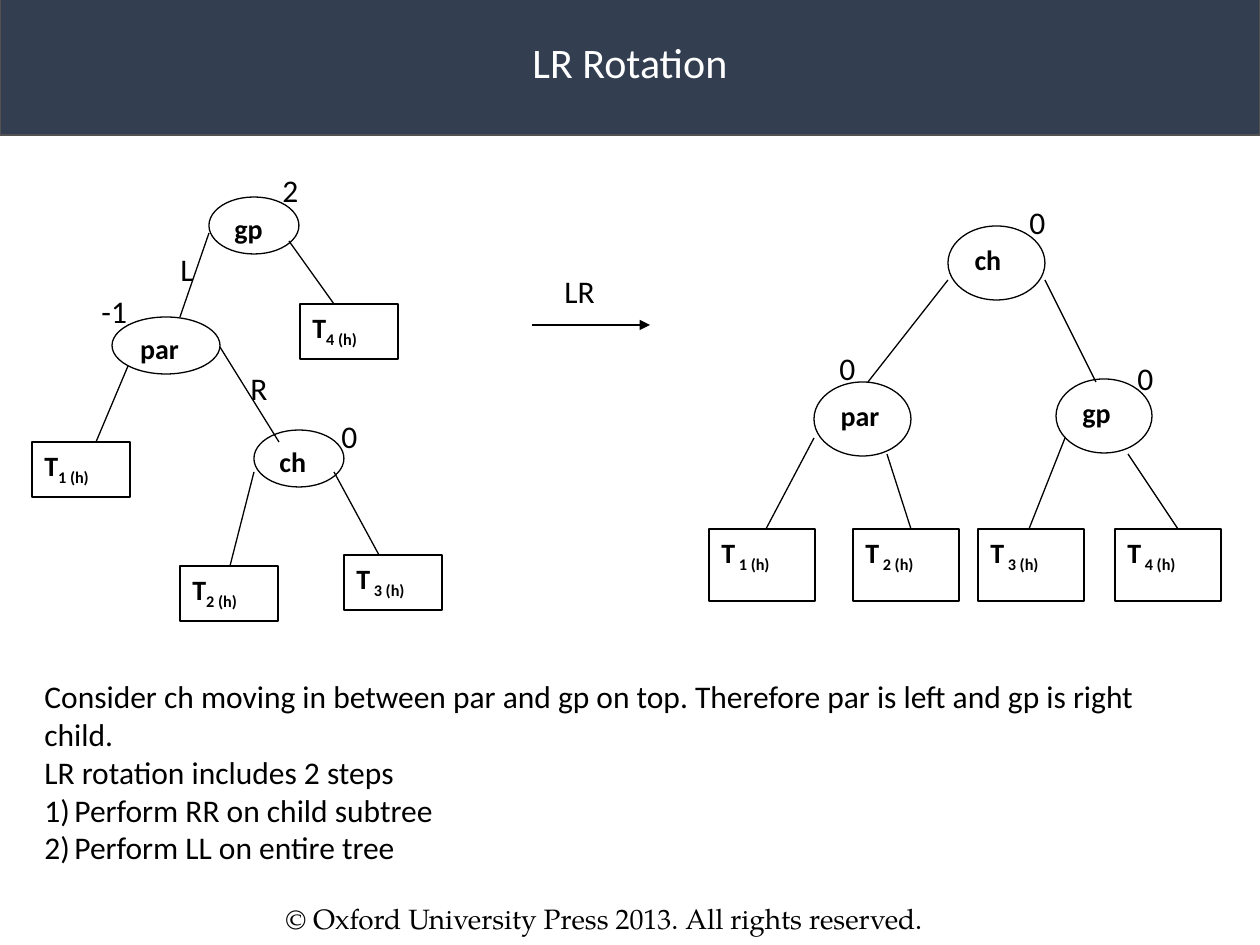
from dataclasses import dataclass

from lxml.etree import SubElement
from pptx import Presentation
from pptx.dml.color import RGBColor
from pptx.enum.shapes import MSO_CONNECTOR, MSO_SHAPE
from pptx.enum.text import MSO_ANCHOR, MSO_AUTO_SIZE, PP_ALIGN
from pptx.oxml.ns import qn
from pptx.util import Inches, Pt

SCALE = Inches(1) / 126


@dataclass(frozen=True)
class Theme:
    ink: str = "000000"
    paper: str = "FFFFFF"
    band: str = "333F50"
    rim: str = "525252"
    sans: str = "Calibri"
    serif: str = "TeX Gyre Pagella"
    title: int = 24
    body: int = 18
    node: int = 16


THEME = Theme()
LABEL = {"name": THEME.sans, "size": Pt(THEME.body)}
NODE = {"name": THEME.sans, "size": Pt(THEME.node), "bold": True}
TITLE = {"name": THEME.sans, "size": Pt(THEME.title)}
FOOTER = {"name": THEME.serif, "size": Pt(THEME.node)}

# Ovals and subtree boxes: text and top left corner; edges: both ends.
BEFORE = {
    "ovals": [("gp", 209, 197, 90, 57), ("par", 112, 317, 108, 57),
              ("ch", 254, 430, 90, 57)],
    "box": (98, 55),
    "trees": [("4 (h)", 300, 304), ("1 (h)", 32, 442),
              ("2 (h)", 180, 566), (" 3 (h)", 344, 555)],
    "edges": [(289, 241, 334, 304), (334, 472, 379, 555),
              (220, 347, 279, 442), (254, 472, 230, 566),
              (128, 366, 96, 442), (209, 233, 180, 317)],
}
AFTER = {
    "ovals": [("par", 814, 382, 97, 74), ("ch", 948, 226, 97, 74),
              ("gp", 1056, 379, 96, 74)],
    "box": (106, 72),
    "trees": [(" 1 (h)", 709, 529), (" 2 (h)", 853, 529),
              (" 3 (h)", 978, 529), (" 4 (h)", 1115, 529)],
    "edges": [(948, 280, 868, 382), (1045, 280, 1096, 382),
              (814, 438, 766, 529), (1065, 438, 1029, 529),
              (887, 454, 911, 529), (1128, 454, 1178, 529)],
}
MARKS = [("2", 270, 165), ("L", 168, 244), ("-1", 89, 286),
         ("0", 1125, 353), ("0", 827, 343), ("0", 1017, 197),
         ("0", 329, 411), ("R", 238, 363)]
NOTES = [
    "Consider ch moving in between par and gp on top. "
    "Therefore par is left and gp is right child.",
    "LR rotation includes 2 steps",
]
STEPS = ["Perform RR on child subtree", "Perform LL on entire tree"]


def px(*vals):
    return [round(val * SCALE) for val in vals]


def style(font, form, color=THEME.ink):
    for key, val in form.items():
        setattr(font, key, val)
    font.color.rgb = RGBColor.from_string(color)


def add_run(para, text, form, color=THEME.ink):
    run = para.add_run()
    run.text = text
    style(run.font, form, color)
    return run


def add_form(shapes, kind, at, fill=THEME.paper, line=THEME.ink, width=0.75):
    form = shapes.add_shape(kind, *px(*at))
    form.shadow.inherit = False
    form.fill.solid()
    form.fill.fore_color.rgb = RGBColor.from_string(fill)
    form.line.color.rgb = RGBColor.from_string(line)
    form.line.width = Pt(width)
    frame = form.text_frame
    frame.word_wrap = True
    frame.vertical_anchor = MSO_ANCHOR.TOP
    frame.paragraphs[0].alignment = PP_ALIGN.LEFT
    return form


def add_line(shapes, ends, arrow=False):
    line = shapes.add_connector(MSO_CONNECTOR.STRAIGHT, *px(*ends))
    line.line.color.rgb = RGBColor.from_string(THEME.ink)
    line.line.width = Pt(0.75)
    props = line._element.spPr
    if arrow:
        SubElement(props.find(qn("a:ln")), qn("a:tailEnd"), type="triangle")
    SubElement(props, qn("a:effectLst"))


def add_text(shapes, at, lines, form, wrap=True):
    frame = shapes.add_textbox(*px(*at)).text_frame
    frame.word_wrap = wrap
    frame.auto_size = MSO_AUTO_SIZE.SHAPE_TO_FIT_TEXT
    for num, text in enumerate(lines):
        para = frame.add_paragraph() if num else frame.paragraphs[0]
        add_run(para, text, form)
    return frame


def number(para):
    """Turn a paragraph into an item of a 1) 2) list."""
    props = para._p.get_or_add_pPr()
    hang, = px(30)
    props.set("marL", str(hang))
    props.set("indent", str(-hang))
    SubElement(props, qn("a:buAutoNum"), type="arabicParenR")


def add_tree(slide, tree):
    shapes = slide.shapes.add_group_shape().shapes
    for text, *at in tree["ovals"]:
        oval = add_form(shapes, MSO_SHAPE.OVAL, at)
        add_run(oval.text_frame.paragraphs[0], text, NODE)
    for text, left, top in tree["trees"]:
        box = add_form(shapes, MSO_SHAPE.RECTANGLE, (left, top, *tree["box"]))
        para = box.text_frame.paragraphs[0]
        add_run(para, "T", NODE)
        sub = add_run(para, text, NODE)
        sub._r.get_or_add_rPr().set("baseline", "-25000")
    for ends in tree["edges"]:
        add_line(shapes, ends)


def add_header(shapes):
    band = add_form(shapes, MSO_SHAPE.ROUNDED_RECTANGLE, (0, -12, 1260, 147),
                    THEME.band, THEME.rim, 1)
    band.adjustments[0] = 0
    band.text_frame.vertical_anchor = MSO_ANCHOR.MIDDLE
    para = band.text_frame.paragraphs[0]
    para.alignment = PP_ALIGN.CENTER
    add_run(para, "LR Rotation", TITLE, THEME.paper)


def main():
    deck = Presentation()
    deck.slide_width, deck.slide_height = px(1260, 945)
    slide = deck.slides.add_slide(deck.slide_layouts[6])
    shapes = slide.shapes

    add_text(shapes, (273, 895, 725, 47),
             ["© Oxford University Press 2013. All rights reserved."], FOOTER)
    add_tree(slide, BEFORE)
    add_line(shapes, (532, 325, 650, 325), arrow=True)
    add_text(shapes, (552, 266, 87, 50), ["LR"], LABEL)
    add_tree(slide, AFTER)
    for text, left, top in MARKS:
        wide = 56 if len(text) > 1 else 40
        add_text(shapes, (left, top, wide, 50), [text], LABEL, wrap=False)
    add_header(shapes)
    notes = add_text(shapes, (32, 671, 1189, 202), NOTES + STEPS, LABEL)
    for para in notes.paragraphs[len(NOTES):]:
        number(para)
    deck.save("out.pptx")


if __name__ == "__main__":
    main()
